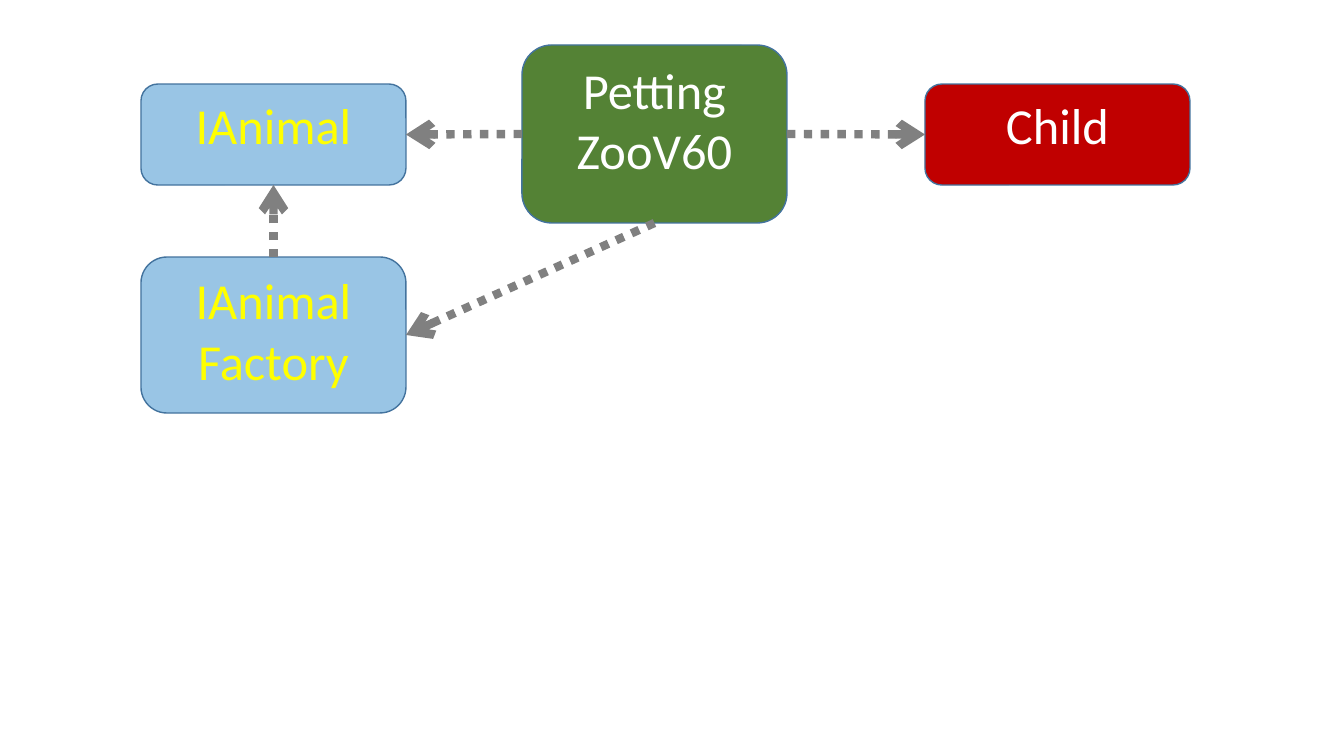
from lxml import etree
from pptx import Presentation
from pptx.dml.color import RGBColor
from pptx.enum.dml import MSO_LINE
from pptx.enum.shapes import MSO_CONNECTOR, MSO_SHAPE
from pptx.enum.text import MSO_ANCHOR, PP_ALIGN
from pptx.oxml.ns import qn
from pptx.util import Emu, Pt

ROUND = MSO_SHAPE.ROUNDED_RECTANGLE
STRAIGHT = MSO_CONNECTOR.STRAIGHT
DOTS = MSO_LINE.ROUND_DOT
TOP = MSO_ANCHOR.TOP
CENTER = PP_ALIGN.CENTER

COLORS = {
    "red": "C00000", "green": "548235", "blue": "0070C0", "edge": "43739E",
    "gray": "808080", "white": "FFFFFF", "yellow": "FFFF00",
}
WIDTH = 265
BOXES = {
    "child": (["Child"], 925, 84, 101, "red", "white", 100),
    "zoo": (["Petting", "ZooV60"], 522, 45, 178, "green", "white", 100),
    "animal": (["IAnimal"], 141, 84, 101, "blue", "yellow", 40),
    "factory": (["IAnimal", "Factory"], 141, 257, 156, "blue", "yellow", 40),
}
ARROWS = [
    ("zoo", 3, "child", 1),
    ("zoo", 1, "animal", 3),
    ("factory", 0, "animal", 2),
    ("zoo", 2, "factory", 3),
]
FONT = {"name": "Calibri", "size": Pt(36)}
FRAME = {"word_wrap": True, "vertical_anchor": TOP}
STROKE = {"width": Pt(6), "dash_style": DOTS}


def px(n):
    return Emu(round(n * 914400 / 100.8))


def rgb(name):
    return RGBColor.from_string(COLORS[name])


def style(item, values):
    for key, value in values.items():
        setattr(item, key, value)


def add_box(slide, lines, left, top, height, fill, ink, alpha):
    box = slide.shapes.add_shape(ROUND, px(left), px(top), px(WIDTH), px(height))
    box.shadow.inherit = False
    box.fill.solid()
    box.fill.fore_color.rgb = rgb(fill)
    if alpha < 100:
        color = box._element.spPr.find(qn("a:solidFill"))[0]
        etree.SubElement(color, qn("a:alpha"), val=str(alpha * 1000))
    box.line.color.rgb = rgb("edge")
    box.line.width = Pt(1)
    frame = box.text_frame
    style(frame, FRAME)
    frame.text = "\n".join(lines)
    for para in frame.paragraphs:
        para.alignment = CENTER
        font = para.runs[0].font
        style(font, FONT)
        font.color.rgb = rgb(ink)
    return box


def add_arrow(slide, start, out, end, into):
    arrow = slide.shapes.add_connector(STRAIGHT, 0, 0, 0, 0)
    arrow.begin_connect(start, out)
    arrow.end_connect(end, into)
    arrow.line.color.rgb = rgb("gray")
    style(arrow.line, STROKE)
    props = arrow._element.spPr
    etree.SubElement(props.find(qn("a:ln")), qn("a:tailEnd"), type="arrow")
    etree.SubElement(props, qn("a:effectLst"))


def main():
    deck = Presentation()
    style(deck, {"slide_width": px(1344), "slide_height": px(756)})
    slide = deck.slides.add_slide(deck.slide_layouts[6])
    boxes = {name: add_box(slide, *spec) for name, spec in BOXES.items()}
    for start, out, end, into in ARROWS:
        add_arrow(slide, boxes[start], out, boxes[end], into)
    deck.save("out.pptx")


if __name__ == "__main__":
    main()
